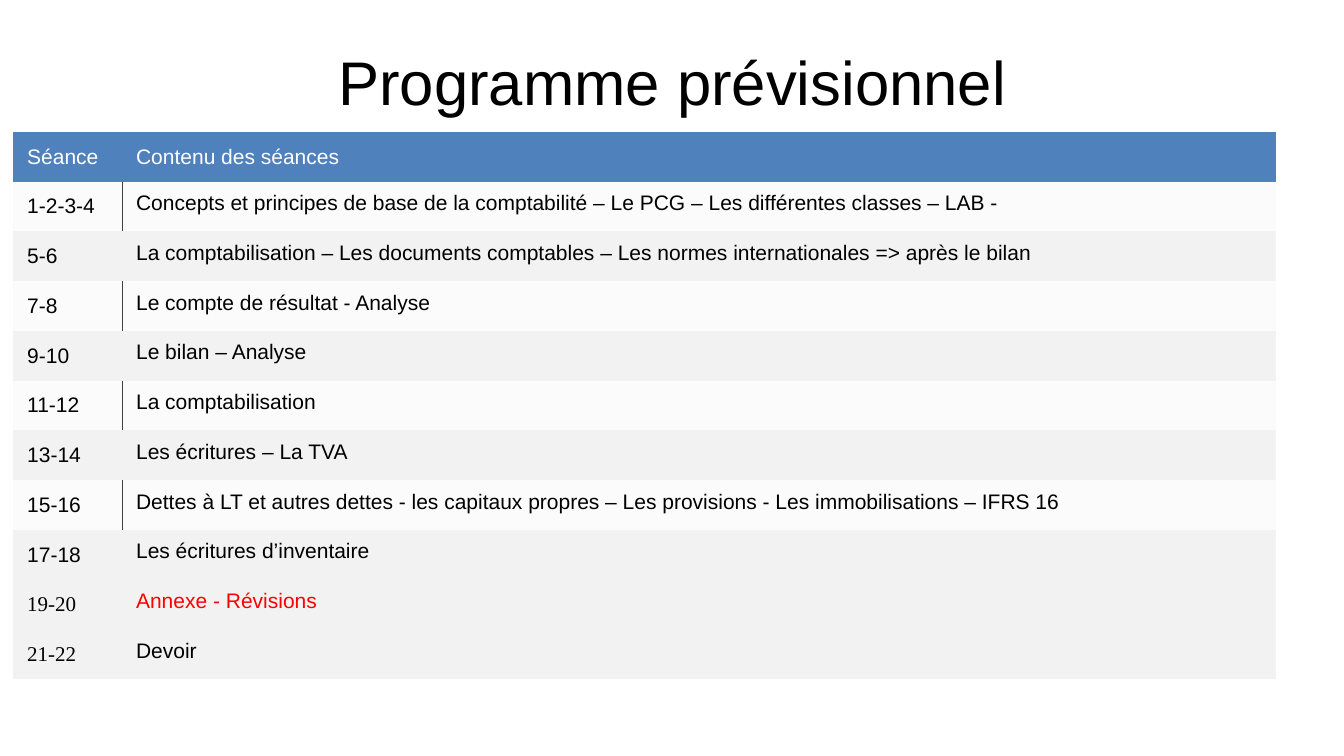
from lxml.etree import SubElement
from pptx import Presentation
from pptx.dml.color import RGBColor
from pptx.enum.text import MSO_ANCHOR, PP_ALIGN
from pptx.oxml import parse_xml
from pptx.oxml.ns import nsdecls, qn
from pptx.util import Inches, Pt

COLORS = {
    "header": "4F81BD",
    "band": "F2F2F2",
    "rule": "404040",
    "white": "FFFFFF",
    "black": "000000",
    "alert": "FF0000",
}
SANS, SERIF = "Arial", "Times New Roman"
NO_GRID_STYLE = "{2D5ABB26-0587-4C30-8999-92F81FD0307C}"
COLUMNS = (1.08, 11.45)
TABLE_HEIGHT = 5.43
HEADER = ("Séance", "Contenu des séances")
SESSIONS = [
    ("1-2-3-4", "Concepts et principes de base de la comptabilité – Le PCG – "
                "Les différentes classes – LAB -"),
    ("5-6", "La comptabilisation – Les documents comptables – "
            "Les normes internationales => après le bilan"),
    ("7-8", "Le compte de résultat - Analyse"),
    ("9-10", "Le bilan – Analyse"),
    ("11-12", "La comptabilisation"),
    ("13-14", "Les écritures – La TVA"),
    ("15-16", "Dettes à LT et autres dettes - les capitaux propres – "
              "Les provisions - Les immobilisations – IFRS 16"),
    ("17-18", "Les écritures d’inventaire"),
    ("19-20", "Annexe - Révisions"),
    ("21-22", "Devoir"),
]
SERIF_SESSIONS = ("19-20", "21-22")
ALERT_SESSION = "Annexe - Révisions"
LIGHT_ROWS = (1, 3, 5, 7)


def style_paragraph(p, text, size, color, font=SANS, align=PP_ALIGN.LEFT):
    p.text = text
    p.alignment = align
    p.font.size = Pt(size)
    p.font.name = font
    p.font.color.rgb = RGBColor.from_string(COLORS[color])


def add_title(s, text):
    tf = s.shapes.add_textbox(Inches(0.67), Inches(0.3), Inches(12), Inches(1)).text_frame
    tf.word_wrap = True
    tf.vertical_anchor = MSO_ANCHOR.MIDDLE
    style_paragraph(tf.paragraphs[0], text, 44, "black", align=PP_ALIGN.CENTER)


def fill_cell(cell, color, alpha=None):
    cell.fill.solid()
    cell.fill.fore_color.rgb = RGBColor.from_string(COLORS[color])
    if alpha is not None:
        srgb = cell._tc.tcPr.find(qn("a:solidFill")).find(qn("a:srgbClr"))
        SubElement(srgb, qn("a:alpha"), val=str(alpha * 1000))


def add_border(cell, side):
    cell._tc.tcPr.insert(0, parse_xml(
        f'<a:ln{side} {nsdecls("a")} w="6350"><a:solidFill>'
        f'<a:srgbClr val="{COLORS["rule"]}"/></a:solidFill></a:ln{side}>'))


def write_cell(cell, text, color="black", font=SANS,
               align=PP_ALIGN.LEFT, anchor=MSO_ANCHOR.MIDDLE):
    cell.margin_left, cell.margin_right = Inches(0.14), Inches(0.08)
    cell.margin_top = cell.margin_bottom = Inches(0.1)
    cell.vertical_anchor = anchor
    style_paragraph(cell.text_frame.paragraphs[0], text, 15, color, font, align)


def add_header(table):
    for cell, text in zip(table.rows[0].cells, HEADER):
        write_cell(cell, text, "white")
        fill_cell(cell, "header")


def add_session(table, row, number, content):
    number_cell, content_cell = table.rows[row].cells
    write_cell(number_cell, number, font=SERIF if number in SERIF_SESSIONS else SANS)
    write_cell(content_cell, content, "alert" if content == ALERT_SESSION else "black",
               align=PP_ALIGN.JUSTIFY, anchor=MSO_ANCHOR.TOP)
    light = row in LIGHT_ROWS
    for cell, side in ((number_cell, "R"), (content_cell, "L")):
        fill_cell(cell, "band", 30 if light else None)
        if light:
            add_border(cell, side)


def add_programme(s):
    count = len(SESSIONS) + 1
    table = s.shapes.add_table(count, len(COLUMNS), Inches(0.13), Inches(1.31),
                               Inches(sum(COLUMNS)), Inches(TABLE_HEIGHT)).table
    table.horz_banding = False
    table._tbl.tblPr.find(qn("a:tableStyleId")).text = NO_GRID_STYLE
    for column, width in zip(table.columns, COLUMNS):
        column.width = Inches(width)
    for row in table.rows:
        row.height = Inches(TABLE_HEIGHT / count)
    add_header(table)
    for row, (number, content) in enumerate(SESSIONS, 1):
        add_session(table, row, number, content)


def main():
    prs = Presentation()
    prs.slide_width, prs.slide_height = Inches(13.33), Inches(7.5)
    s = prs.slides.add_slide(prs.slide_layouts[6])
    add_title(s, "Programme prévisionnel")
    add_programme(s)
    prs.save("out.pptx")


if __name__ == "__main__":
    main()
